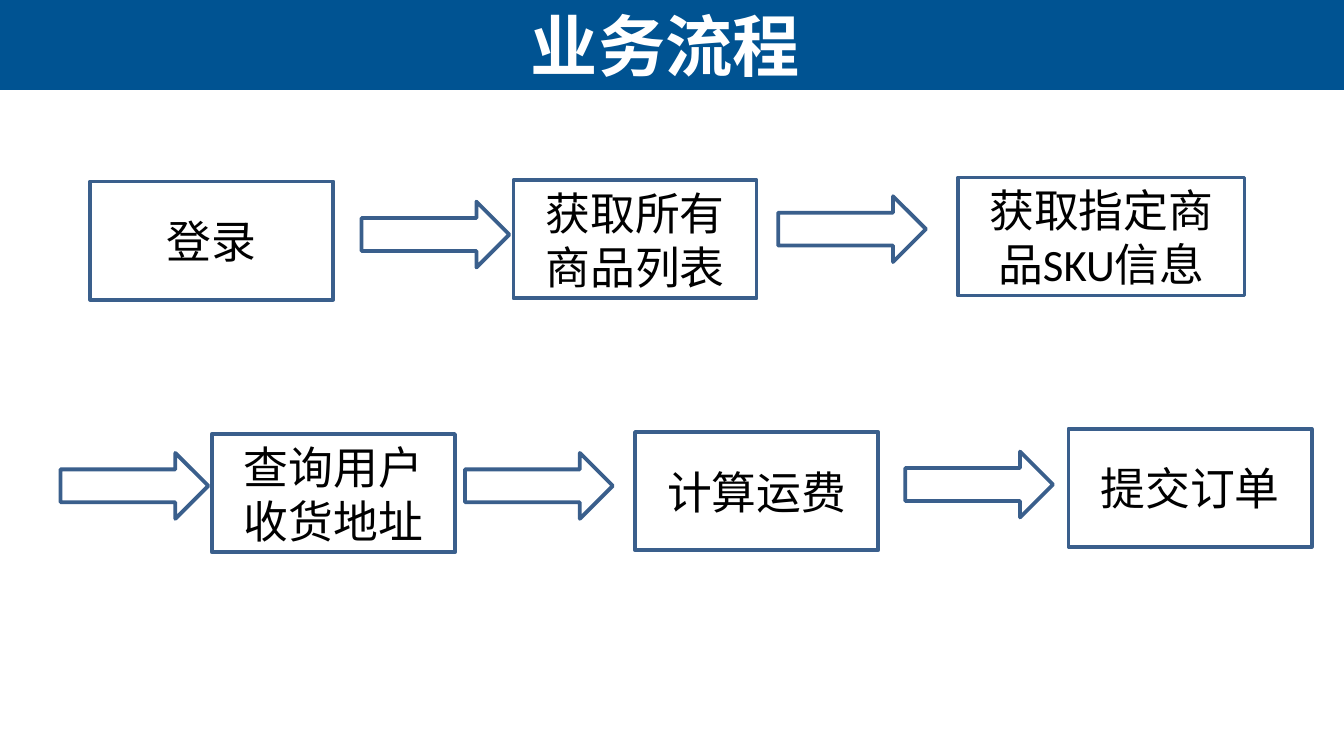
from typing import NamedTuple

from pptx import Presentation
from pptx.dml.color import RGBColor
from pptx.enum.shapes import MSO_SHAPE as Preset
from pptx.enum.text import MSO_ANCHOR as Anchor, PP_ALIGN as Align
from pptx.util import Emu, Pt

EMU_PER_PX = 4572  # 200 px to the inch
SLIDE_WIDTH, SLIDE_HEIGHT = 2000, 1125
BANNER_HEIGHT = 134
STEP_WIDTH, STEP_HEIGHT = 362, 176
ARROW_WIDTH, ARROW_HEIGHT = 220, 98
OUTLINE = "3A5F8C"
BANNER = "005392"


class Step(NamedTuple):
    left: int
    top: int
    text: str
    width: int = STEP_WIDTH


class Arrow(NamedTuple):
    left: int
    top: int


STEPS = [
    Step(134, 270, "登录"),
    Step(764, 268, "获取所有商品列表"),
    Step(1426, 264, "获取指定商品SKU信息", width=426),
    Step(315, 646, "查询用户收货地址"),
    Step(945, 643, "计算运费"),
    Step(1590, 638, "提交订单"),
]
ARROWS = [
    Arrow(90, 674),
    Arrow(1158, 292),
    Arrow(538, 300),
    Arrow(692, 674),
    Arrow(1347, 672),
]


def px(length: int) -> Emu:
    return Emu(length * EMU_PER_PX)


def color(value: str) -> RGBColor:
    return RGBColor.from_string(value)


def add_shape(slide, preset, left: int, top: int, width: int, height: int,
              fill: str | None = None, line: str | None = None):
    shape = slide.shapes.add_shape(preset, px(left), px(top), px(width), px(height))
    shape.shadow.inherit = False
    if fill:
        shape.fill.solid()
        shape.fill.fore_color.rgb = color(fill)
    else:
        shape.fill.background()
    if line:
        shape.line.color.rgb = color(line)
        shape.line.width = Pt(2)
    else:
        shape.line.fill.background()
    return shape


def write(shape, text: str, *, size: int, font: str, text_color: str,
          bold: bool = False) -> None:
    """Put one centred paragraph in the shape."""
    frame = shape.text_frame
    frame.word_wrap = True
    frame.vertical_anchor = Anchor.MIDDLE
    paragraph = frame.paragraphs[0]
    paragraph.alignment = Align.CENTER
    run = paragraph.add_run()
    run.text = text
    run.font.size = Pt(size)
    run.font.name = font
    run.font.bold = bold
    run.font.color.rgb = color(text_color)


def draw_step(slide, step: Step) -> None:
    box = add_shape(slide, Preset.RECTANGLE, step.left, step.top,
                    step.width, STEP_HEIGHT, line=OUTLINE)
    write(box, step.text, size=24, font="Calibri", text_color="000000")


def draw_arrow(slide, arrow: Arrow) -> None:
    add_shape(slide, Preset.RIGHT_ARROW, arrow.left, arrow.top,
              ARROW_WIDTH, ARROW_HEIGHT, line=OUTLINE)


def main() -> None:
    presentation = Presentation()
    presentation.slide_width = px(SLIDE_WIDTH)
    presentation.slide_height = px(SLIDE_HEIGHT)
    slide = presentation.slides.add_slide(presentation.slide_layouts[6])

    add_shape(slide, Preset.RECTANGLE, 0, 0, SLIDE_WIDTH, BANNER_HEIGHT, fill=BANNER)
    title = slide.shapes.add_textbox(px(3), px(0), px(1974), px(BANNER_HEIGHT))
    write(title, "业务流程", size=36, font="Arial", text_color="FFFFFF", bold=True)

    for step in STEPS:
        draw_step(slide, step)
    for arrow in ARROWS:
        draw_arrow(slide, arrow)

    presentation.save("out.pptx")


if __name__ == "__main__":
    main()
